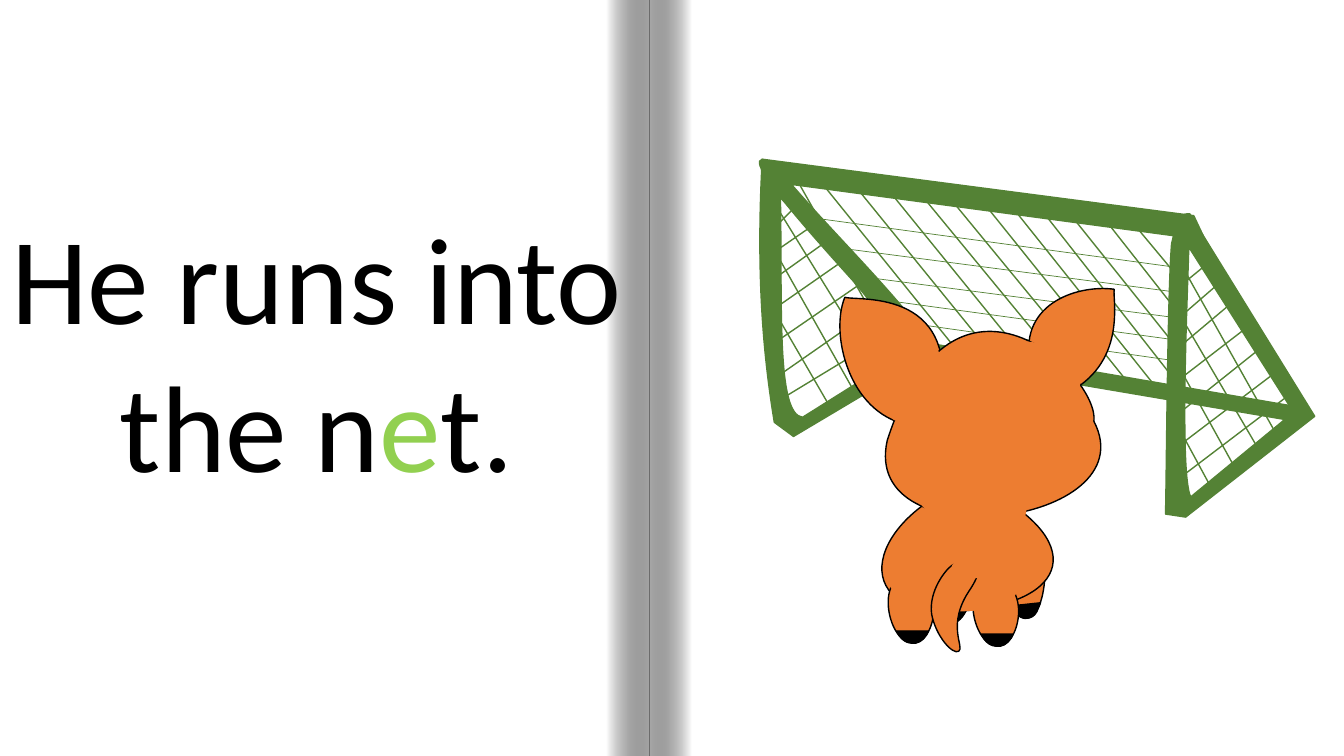
import math

from lxml import etree
from pptx import Presentation
from pptx.dml.color import RGBColor
from pptx.enum import shapes, text
from pptx.oxml import ns
from pptx.util import Inches, Pt

HUES = {"page": "FFFFFF", "ink": "000000", "vowel": "92D050",
        "goal": "548235", "coat": "ED7D31"}

# Net strings: x1, y1, x2, y2
BACK = [
    (8.17, 1.84, 9.52, 3.51), (8.51, 1.88, 9.85, 3.53), (8.84, 1.92, 10.23, 3.63),
    (9.16, 1.96, 10.6, 3.71), (9.45, 2, 10.93, 3.8), (9.81, 2.08, 11.28, 3.91),
    (10.06, 2.08, 11.52, 3.91), (10.39, 2.16, 11.66, 3.78), (10.61, 2.12, 11.69, 3.47),
    (10.93, 2.14, 11.7, 3.12), (11.16, 2.12, 11.71, 2.78),
]
ROWS = [
    (11.65, 2.65, 7.98, 2.15), (11.68, 2.9, 8.17, 2.44), (11.65, 3.15, 8.43, 2.73),
    (11.66, 3.58, 8.84, 3.18), (11.64, 3.37, 8.64, 2.96),
]
SIDES = [
    (11.73, 2.65, 12.66, 4.31), (11.66, 3.05, 12.49, 4.47), (11.66, 3.58, 12.27, 4.68),
    (11.64, 4.15, 12.03, 4.87), (12.77, 3.93, 11.69, 4.75), (12.67, 3.68, 11.59, 4.5),
    (12.57, 3.4, 11.63, 4.15), (12.43, 3.2, 11.65, 3.8), (12.16, 2.75, 11.64, 3.2),
    (12.27, 2.96, 11.64, 3.49), (12.02, 2.58, 11.64, 2.89), (7.93, 1.83, 8.92, 3.59),
    (7.72, 2.08, 8.75, 3.75), (7.68, 2.48, 8.47, 3.88), (7.66, 3.05, 8.24, 4.05),
    (8.9, 3.26, 7.73, 3.97), (8.75, 3.01, 7.66, 3.77), (8.66, 2.73, 7.67, 3.41),
    (8.43, 2.54, 7.67, 3.07), (8.13, 2.19, 7.68, 2.5), (8.26, 2.35, 7.7, 2.75),
    (7.93, 2.01, 7.72, 2.22),
]

# Outlines: loops of steps; two numbers are a point, six are a Bezier curve
POST = [
    [(11.78, 2.12), (11.67, 2.12, 11.65, 2.3, 11.62, 2.42),
     (11.58, 2.91, 11.57, 4.65, 11.56, 5.1), (11.76, 5.13), (13.04, 4.13), (11.8, 2.12)],
    [(11.79, 2.45), (12.83, 4.09), (11.81, 4.93), (11.69, 4.69, 11.79, 2.67, 11.79, 2.45)],
]
BAR = [[(7.56, 1.58), (7.33, 1.61, 8.57, 2.88, 9.14, 3.55), (12.85, 4.18), (12.83, 4.03),
        (9.24, 3.41), (8.85, 2.88, 8.31, 2.36, 7.85, 1.83), (11.87, 2.37),
        (12.16, 2.82), (11.84, 2.14)]]
WING = [
    [(7.56, 1.58), (7.5, 2.66, 7.56, 3.47, 7.68, 4.19), (7.87, 4.33), (9.18, 3.55),
     (9.04, 3.21, 7.69, 1.63, 7.56, 1.58)],
    [(7.74, 1.96), (8.11, 2.35, 8.64, 2.95, 8.98, 3.5), (7.96, 4.14),
     (7.7, 4.11, 7.76, 3.06, 7.74, 1.96)],
]
# Pig parts: fill, line, loops, turn
REAR = [
    ("coat", "ink", [[(10.2, 6.13), (9.96, 6.21, 9.74, 5.28, 10.09, 5.17),
                      (10.43, 5.06, 10.44, 6.06, 10.2, 6.13)]], 353.4),
    ("ink", "ink", [[(10.04, 6.01), (10.32, 5.98), (10.3, 6.03),
                     (10.28, 6.09, 10.25, 6.12, 10.21, 6.13),
                     (10.15, 6.15, 10.1, 6.12, 10.06, 6.05)]], 353.4),
    ("coat", "ink", [[(9.46, 6.18), (9.21, 6.22, 9.1, 5.28, 9.46, 5.21),
                      (9.81, 5.14, 9.7, 6.13, 9.46, 6.18)]], 0),
    ("ink", "ink", [[(9.3, 6.04), (9.59, 6.04), (9.56, 6.09),
                     (9.53, 6.14, 9.49, 6.17, 9.45, 6.18),
                     (9.4, 6.19, 9.35, 6.15, 9.32, 6.08)]], 0),
    ("coat", "ink", [[(9.56, 6.06), (10.7, 5.96, 10.77, 5.28, 9.6, 4.77),
                      (8.52, 5.2, 8.42, 6.16, 9.56, 6.06)]], 0),
]
LEG = [
    ("coat", "ink", [[(9.04, 6.38), (9.28, 6.41, 9.39, 5.77, 9.04, 5.72),
                      (8.68, 5.67, 8.79, 6.35, 9.04, 6.38)]], 0),
    ("ink", "ink", [[(9.21, 6.26), (8.89, 6.26), (8.92, 6.31),
                     (8.95, 6.35, 8.99, 6.38, 9.04, 6.38),
                     (9.1, 6.39, 9.15, 6.36, 9.19, 6.3)]], 0),
]
FRONT = [
    ("coat", "coat", [[(8.81, 5.76), (8.72, 5.39, 9.97, 5.1, 10.12, 5.65),
                       (10.27, 6.21, 8.9, 6.14, 8.81, 5.76)]], 85.1),
    ("coat", "ink", [[(9.62, 5.85), (9.38, 6.2, 9.57, 6.42, 9.51, 6.46),
                      (9.45, 6.5, 9.28, 6.31, 9.24, 6.09),
                      (9.21, 5.86, 9.38, 5.65, 9.44, 5.61),
                      (9.5, 5.57, 9.86, 5.49, 9.62, 5.85)]], 170.4),
    ("coat", "coat", [[(9.44, 5.65), (9.42, 5.54, 9.79, 5.45, 9.83, 5.61),
                       (9.87, 5.77, 9.47, 5.76, 9.44, 5.65)]], 85.1),
    ("coat", "ink", [[(10.57, 3.91), (11.17, 3.61, 11.04, 3.01, 11.05, 2.87),
                      (10.67, 2.82, 10.07, 3.03, 10.23, 3.65)]], 75.8),
    ("coat", "ink", [[(9.3, 4.13), (9.6, 2.84, 8.51, 2.99, 8.38, 2.95),
                      (8.23, 3.31, 8.42, 4.09, 8.99, 4.21)]], 0),
    ("coat", "ink", [[(10.85, 4.18), (10.91, 3.73, 9.46, 2.32, 8.8, 4.37),
                      (8.53, 5.57, 11.39, 5.22, 10.85, 4.18)]], 0),
    ("coat", None, [[(9.14, 3.77), (9.21, 3.65, 9.37, 3.5, 9.3, 3.48),
                     (9.23, 3.46, 8.97, 3.45, 8.89, 3.69), (8.81, 3.93, 8.8, 4.14, 8.87, 4.17),
                     (8.94, 4.19, 9.07, 3.88, 9.14, 3.77)]], 18.3),
    ("coat", None, [[(10.43, 3.72), (10.53, 3.8, 10.66, 3.98, 10.69, 3.91),
                     (10.72, 3.85, 10.76, 3.59, 10.54, 3.49),
                     (10.32, 3.39, 10.12, 3.36, 10.09, 3.42),
                     (10.06, 3.49, 10.33, 3.64, 10.43, 3.72)]], 114.8),
]


def hue(name):
    return RGBColor.from_string(HUES[name])


def paint(shape, fill, line=None):
    shape.shadow.inherit = False
    shape.fill.solid()
    shape.fill.fore_color.rgb = hue(fill)
    if line:
        shape.line.color.rgb = hue(line)
        shape.line.width = Pt(1)
    else:
        shape.line.fill.background()


def spin(x, y, turn):
    c, s = math.cos(math.radians(turn)), math.sin(math.radians(turn))
    return round(x * c - y * s), round(x * s + y * c)


def trace(loop):
    """Yield points along a loop, to measure its extent."""
    last = loop[0][0]
    for step in loop:
        ends = [last, *step] if len(step) == 3 else [last, last, step[0], step[0]]
        for t in (i / 40 for i in range(41)):
            mix = ((1 - t) ** 3, 3 * t * (1 - t) ** 2, 3 * t * t * (1 - t), t ** 3)
            yield tuple(round(sum(m * e[k] for m, e in zip(mix, ends))) for k in (0, 1))
        last = step[-1]


def outline(group, fill, line, loops, turn=0, dx=0, dy=0):
    """Draw closed curves, held upright in a box that is turned."""
    loops = [[[spin(Inches(x + dx), Inches(y + dy), -turn)
               for x, y in zip(step[::2], step[1::2])] for step in loop] for loop in loops]
    spots = [spot for loop in loops for spot in trace(loop)]
    pen = group.shapes.build_freeform(*spots[0])
    pen.add_line_segments(spots[1:])
    shape = pen.convert_to_shape()
    route = shape._element.find(".//" + ns.qn("a:path"))
    for child in list(route):
        route.remove(child)
    for loop in loops:
        for i, step in enumerate(loop):
            kind = "moveTo" if i == 0 else "lnTo" if len(step) == 1 else "cubicBezTo"
            node = etree.SubElement(route, ns.qn("a:" + kind))
            for x, y in step:
                etree.SubElement(node, ns.qn("a:pt"), x=str(x - shape.left), y=str(y - shape.top))
        etree.SubElement(route, ns.qn("a:close"))
    half, rise = shape.width // 2, shape.height // 2
    x, y = spin(shape.left + half, shape.top + rise, turn)
    shape.left, shape.top, shape.rotation = x - half, y - rise, turn
    paint(shape, fill, line)


def strings(group, ends, width):
    for end in ends:
        cord = group.shapes.add_connector(shapes.MSO_CONNECTOR.STRAIGHT, *map(Inches, end))
        cord.line.color.rgb = hue("goal")
        cord.line.width = Pt(width)
        etree.SubElement(cord._element.spPr, ns.qn("a:effectLst"))


def block(group, kind, *box):
    return group.shapes.add_shape(kind, *map(Inches, box))


def fold(group, left, angle):
    """Shade one side of the book's spine."""
    strip = block(group, shapes.MSO_SHAPE.RECTANGLE, left, 0, 0.42, 7.5)
    paint(strip, "page")
    strip.fill.gradient()
    strip.fill.gradient_angle = angle
    for stop, name in zip(strip.fill.gradient_stops, ("page", "ink")):
        stop.color.rgb = hue(name)
    dark = strip._element.spPr.findall(".//" + ns.qn("a:srgbClr"))[-1]
    etree.SubElement(dark, ns.qn("a:alpha"), val="34000")


def words(slide):
    box = slide.shapes.add_textbox(Inches(0), Inches(1.95), Inches(6.28), Inches(3.06))
    box.text_frame.word_wrap = True
    box.text_frame.auto_size = text.MSO_AUTO_SIZE.SHAPE_TO_FIT_TEXT
    para = box.text_frame.paragraphs[0]
    para.alignment = text.PP_ALIGN.CENTER
    para.font.size, para.font.name = Pt(88), "Calibri"
    for part, name in (("He runs into the n", "ink"), ("e", "vowel"), ("t.", "ink")):
        run = para.add_run()
        run.text = part
        run.font.color.rgb = hue(name)


def main():
    deck = Presentation()
    deck.slide_width, deck.slide_height = Inches(13.33), Inches(7.5)
    slide = deck.slides.add_slide(deck.slide_layouts[6])
    slide.background.fill.solid()
    slide.background.fill.fore_color.rgb = hue("ink")
    book = slide.shapes.add_group_shape()
    paint(block(book, shapes.MSO_SHAPE.RECTANGLE, 0, 0, 13.33, 7.5), "page")
    fold(book, 6.44, 180)
    fold(book, 6.02, 0)
    words(slide)
    goal = slide.shapes.add_group_shape()
    strings(goal, BACK, 1)
    strings(goal, ROWS, 0.5)
    for loops in (POST, BAR, WING):
        outline(goal, "goal", "goal", loops)
    strings(goal, SIDES, 1)
    pig = slide.shapes.add_group_shape()
    for part in REAR + LEG:
        outline(pig, *part)
    for part in LEG:
        outline(pig, *part, dx=0.84, dy=0.03)
    for part in FRONT:
        outline(pig, *part)
    neck = block(pig, shapes.MSO_SHAPE.OVAL, 9.04, 4.59, 1.16, 0.68)
    neck.rotation = 18.3
    paint(neck, "coat")
    deck.save("out.pptx")


if __name__ == "__main__":
    main()
